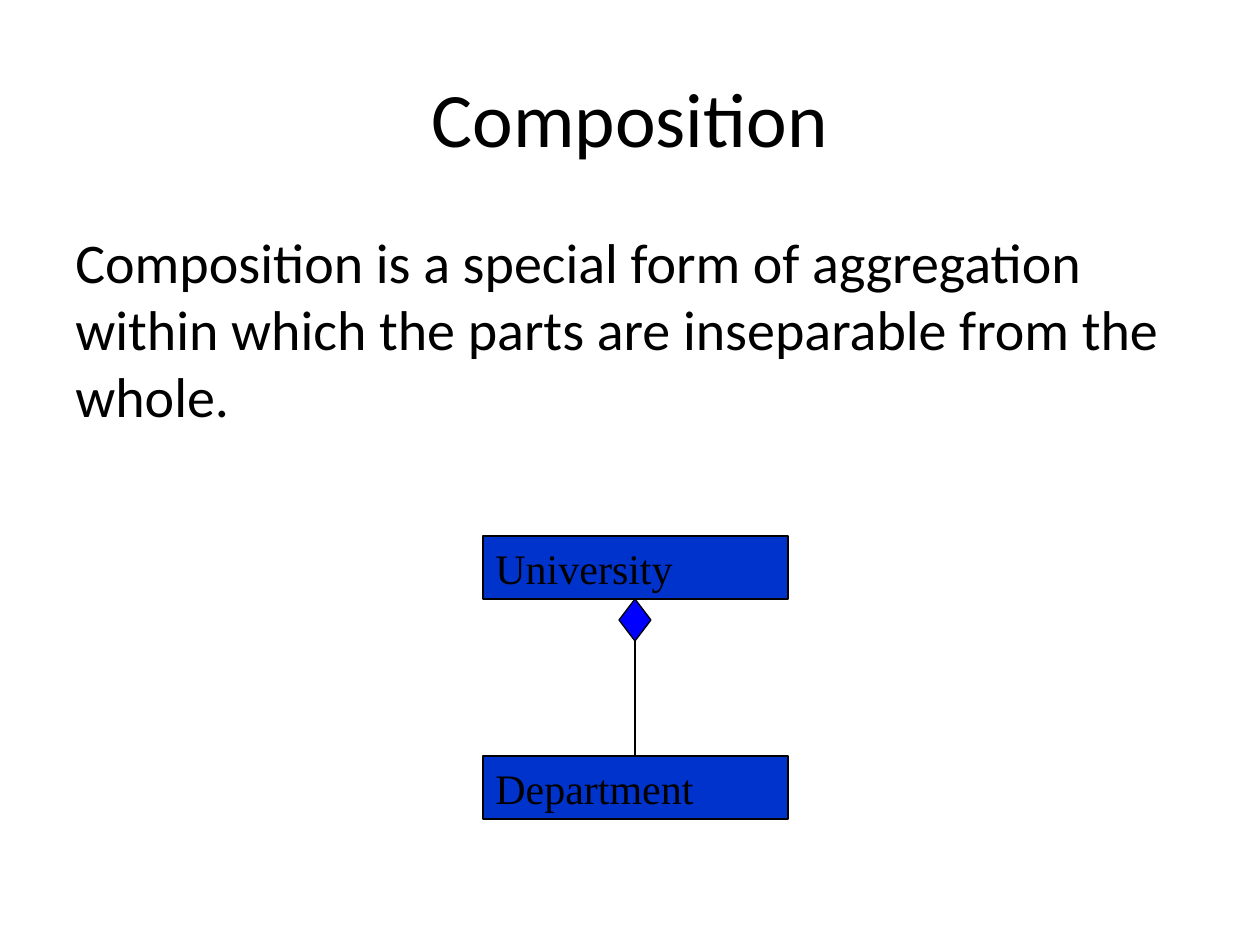
from pptx import Presentation
from pptx.dml.color import RGBColor
from pptx.enum.shapes import MSO_CONNECTOR as Connector, MSO_SHAPE as Shape
from pptx.enum.text import MSO_ANCHOR as Anchor, PP_ALIGN as Align
from pptx.oxml.ns import qn
from pptx.util import Emu, Pt
from lxml.etree import SubElement

COLORS = {"ink": "000000", "class_fill": "0033CC", "diamond": "0000FF"}
PX_PER_INCH = 126


def px(length):
    return Emu(round(length * 914400 / PX_PER_INCH))


def color(name):
    return RGBColor.from_string(COLORS[name])


class UmlPage:
    """Draws text and UML class elements on one slide in a shared style."""

    text_font = "Calibri"
    class_font = "Times New Roman"
    line_width = Pt(0.75)

    def __init__(self, deck):
        self.page = deck.slides.add_slide(deck.slide_layouts[6])

    def fill_frame(self, frame, text, font, size, align, anchor, wrap):
        frame.text = text
        frame.word_wrap = wrap
        frame.vertical_anchor = anchor
        para = frame.paragraphs[0]
        para.alignment = align
        span = para.runs[0]
        span.font.name = font
        span.font.size = Pt(size)
        span.font.color.rgb = color("ink")

    def text(self, left, top, width, height, text, size, align=Align.LEFT, anchor=Anchor.TOP):
        box = self.page.shapes.add_textbox(*map(px, (left, top, width, height)))
        self.fill_frame(box.text_frame, text, self.text_font, size, align, anchor, True)

    def outline(self, line):
        line.color.rgb = color("ink")
        line.width = self.line_width

    def shape(self, kind, left, top, width, height, fill):
        shape = self.page.shapes.add_shape(kind, *map(px, (left, top, width, height)))
        shape.shadow.inherit = False
        shape.fill.solid()
        shape.fill.fore_color.rgb = color(fill)
        self.outline(shape.line)
        return shape

    def class_box(self, left, top, width, height, name):
        box = self.shape(Shape.RECTANGLE, left, top, width, height, "class_fill")
        self.fill_frame(box.text_frame, name, self.class_font, 24, Align.LEFT, Anchor.MIDDLE, False)

    def composition(self, center, whole_bottom, part_top, width, height):
        line = self.page.shapes.add_connector(
            Connector.STRAIGHT, *map(px, (center, part_top, center, whole_bottom)))
        self.outline(line.line)
        SubElement(line._element.spPr, qn("a:effectLst"))
        self.shape(Shape.DIAMOND, center - width // 2, whole_bottom, width, height, "diamond")


def main():
    deck = Presentation()
    deck.slide_width, deck.slide_height = px(1260), px(945)
    uml = UmlPage(deck)

    margin, content_width = 63, 1134
    uml.text(margin, 38, content_width, 158, "Composition", 44, Align.CENTER, Anchor.MIDDLE)
    uml.text(margin, 221, content_width, 624,
             "Composition is a special form of aggregation within which "
             "the parts are inseparable from the whole.", 32)

    left, width, height = 483, 305, 63
    whole_top, part_top = 536, 756
    uml.class_box(left, part_top, width, height, "Department")
    uml.class_box(left, whole_top, width, height, "University")
    uml.composition(left + width // 2, whole_top + height, part_top, 32, 42)

    deck.save("out.pptx")


if __name__ == "__main__":
    main()
